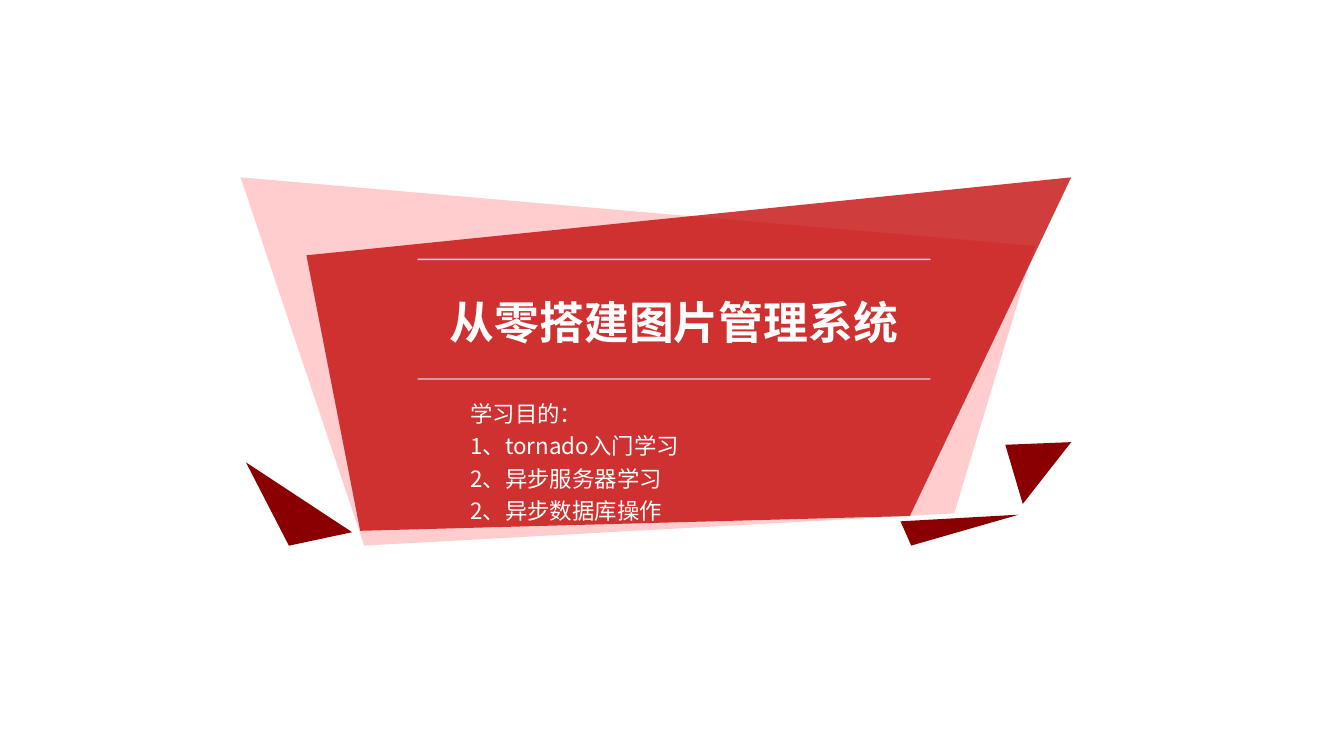
from pptx import Presentation
from pptx.dml.color import RGBColor
from pptx.enum import text
from pptx.oxml import ns
from pptx.util import Inches, Pt
from lxml import etree

FONT = "Noto Sans CJK SC"
WHITE = RGBColor(0xFF, 0xFF, 0xFF)
PINK = RGBColor(0xFF, 0xBE, 0xBE)
RED = RGBColor(0xC0, 0x00, 0x00)
DARK_RED = RGBColor(0x8A, 0x00, 0x00)
RULE_RED = RGBColor(0xB8, 0x00, 0x00)
PALE_BLUE = RGBColor(0xDE, 0xEB, 0xF7)

TITLE = "从零搭建图片管理系统"
GOALS = ["学习目的：", "1、tornado入门学习", "2、异步服务器学习", "2、异步数据库操作"]


def set_alpha(element, percent):
    color = element.find(".//" + ns.qn("a:srgbClr"))
    etree.SubElement(color, ns.qn("a:alpha"), val=str(percent * 1000))


def add_outline(slide, left, top, contours, color, alpha=100):
    builder = None
    for contour in contours:
        points = [(Inches(x), Inches(y)) for x, y in contour]
        if builder is None:
            builder = slide.shapes.build_freeform(*points[0], scale=1.0)
        else:
            builder.move_to(*points[0])
        builder.add_line_segments(points[1:], close=True)
    shape = builder.convert_to_shape(Inches(left), Inches(top))
    shape.shadow.inherit = False
    shape.fill.solid()
    shape.fill.fore_color.rgb = color
    shape.line.fill.background()
    if alpha < 100:
        set_alpha(shape._element.spPr.find(ns.qn("a:solidFill")), alpha)
    return shape


def format_frame(frame, values):
    for name, value in values.items():
        setattr(frame, name, value)


def write_paragraph(paragraph, words, size, bold=False):
    run = paragraph.add_run()
    run.text = words
    for name, value in {"name": FONT, "size": Pt(size), "bold": bold}.items():
        setattr(run.font, name, value)
    run.font.color.rgb = WHITE
    etree.SubElement(run.font._element, ns.qn("a:ea"), typeface=FONT)


def add_banner(slide, left, top):
    pieces = [
        ([(0.04, 2.12), (0.36, 2.74), (0.83, 2.64)], DARK_RED, 100),
        ([(0, 0), (5.91, 0.51), (5.31, 2.5), (0.92, 2.74)], PINK, 76),
        ([(0.49, 0.58), (6.18, 0), (4.98, 2.52), (0.89, 2.63)], RED, 76),
        ([(5.69, 1.99), (6.18, 1.97), (5.82, 2.43)], DARK_RED, 100),
        ([(4.91, 2.56), (5.79, 2.51), (4.99, 2.74)], DARK_RED, 100),
    ]
    for contour, color, alpha in pieces:
        add_outline(slide, left, top, [contour], color, alpha)


def add_title(slide, left, top, width, height):
    rules = [[(0, y), (width, y)] for y in (height, 0)]
    shape = add_outline(slide, left, top, rules, RULE_RED)
    shape.line.color.rgb = PALE_BLUE
    shape.line.width = Pt(0.75)
    set_alpha(shape.line._ln, 87)
    format_frame(shape.text_frame, {
        "margin_left": 0, "margin_right": 0,
        "margin_top": Inches(0.08), "margin_bottom": Inches(0.04),
        "vertical_anchor": text.MSO_ANCHOR.MIDDLE, "word_wrap": True,
    })
    paragraph = shape.text_frame.paragraphs[0]
    paragraph.alignment = text.PP_ALIGN.CENTER
    write_paragraph(paragraph, TITLE, 24, bold=True)


def add_goals(slide, left, top, width, height):
    box = slide.shapes.add_textbox(*map(Inches, (left, top, width, height)))
    frame = box.text_frame
    format_frame(frame, {
        "margin_left": 0, "margin_right": Inches(0.1),
        "margin_top": Inches(0.05), "margin_bottom": Inches(0.05),
        "vertical_anchor": text.MSO_ANCHOR.TOP, "word_wrap": True,
    })
    for index, goal in enumerate(GOALS):
        paragraph = frame.add_paragraph() if index else frame.paragraphs[0]
        paragraph.line_spacing = 1.2
        write_paragraph(paragraph, goal, 12)


def main():
    presentation = Presentation()
    presentation.slide_width = Inches(10)
    presentation.slide_height = Inches(10 * 9 / 16)
    slide = presentation.slides.add_slide(presentation.slide_layouts[6])
    add_banner(slide, 1.79, 1.32)
    add_title(slide, 3.11, 1.93, 3.81, 0.89)
    add_goals(slide, 3.5, 2.89, 2.79, 0.76)
    presentation.save("out.pptx")


if __name__ == "__main__":
    main()
